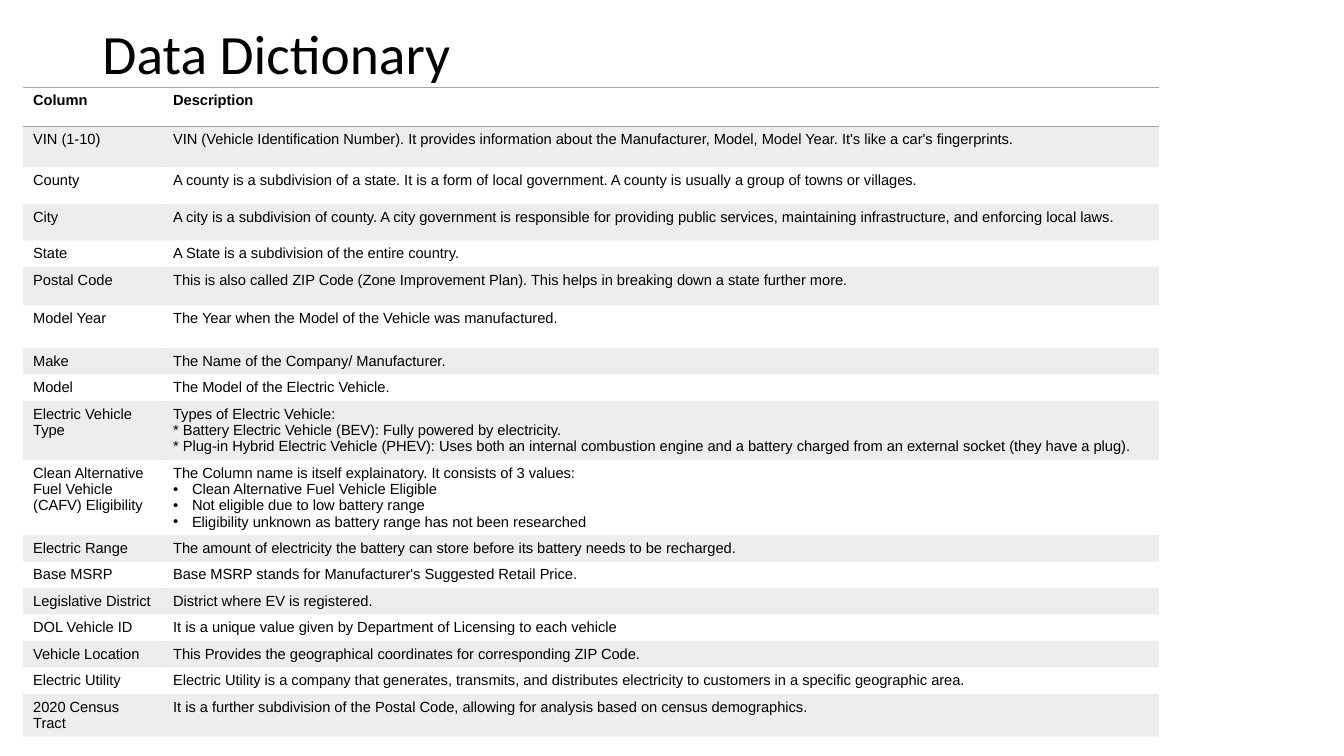
from lxml import etree
from pptx import Presentation
from pptx.dml.color import RGBColor
from pptx.enum.text import MSO_ANCHOR, PP_ALIGN
from pptx.oxml.ns import qn
from pptx.util import Pt

MIDDLE = MSO_ANCHOR.MIDDLE
LEFT = PP_ALIGN.LEFT
TITLE_ONLY = 5
PLAIN_TABLE_STYLE = "{2D5ABB26-0587-4C30-8999-92F81FD0307C}"
BULLET = "• "

# Row height in points, column name, description lines
HEADER = (27.5, "Column", ["Description"])
ENTRIES = [
    (29.3, "VIN (1-10)", [
        "VIN (Vehicle Identification Number). It provides information about the "
        "Manufacturer, Model, Model Year. It's like a car's fingerprints."]),
    (26.2, "County", [
        "A county is a subdivision of a state. It is a form of local government. "
        "A county is usually a group of towns or villages."]),
    (26.2, "City", [
        "A city is a subdivision of county. A city government is responsible for providing "
        "public services, maintaining infrastructure, and enforcing local laws."]),
    (18.9, "State", ["A State is a subdivision of the entire country."]),
    (27.5, "Postal Code", [
        "This is also called ZIP Code (Zone Improvement Plan). "
        "This helps in breaking down a state further more."]),
    (30.4, "Model Year", ["The Year when the Model of the Vehicle was manufactured."]),
    (18.9, "Make", ["The Name of the Company/ Manufacturer."]),
    (18.9, "Model", ["The Model of the Electric Vehicle."]),
    (42, "Electric Vehicle Type", [
        "Types of Electric Vehicle:",
        "* Battery Electric Vehicle (BEV): Fully powered by electricity.",
        "* Plug-in Hybrid Electric Vehicle (PHEV): Uses both an internal combustion engine "
        "and a battery charged from an external socket (they have a plug)."]),
    (53.7, "Clean Alternative Fuel Vehicle (CAFV) Eligibility", [
        "The Column name is itself explainatory. It consists of 3 values:",
        BULLET + "Clean Alternative Fuel Vehicle Eligible",
        BULLET + "Not eligible due to low battery range",
        BULLET + "Eligibility unknown as battery range has not been researched"]),
    (18.9, "Electric Range", [
        "The amount of electricity the battery can store before its battery "
        "needs to be recharged."]),
    (18.9, "Base MSRP", ["Base MSRP stands for Manufacturer's Suggested Retail Price."]),
    (18.9, "Legislative District", ["District where EV is registered."]),
    (18.9, "DOL Vehicle ID", [
        "It is a unique value given by Department of Licensing to each vehicle"]),
    (18.9, "Vehicle Location", [
        "This Provides the geographical coordinates for corresponding ZIP Code."]),
    (18.9, "Electric Utility", [
        "Electric Utility is a company that generates, transmits, and distributes "
        "electricity to customers in a specific geographic area."]),
    (30.4, "2020 Census Tract", [
        "It is a further subdivision of the Postal Code, allowing for analysis "
        "based on census demographics."]),
    (18.9, "", [""]),
]


def color(hex_string):
    return RGBColor.from_string(hex_string)


class DictionarySlide:
    ink, accent = "000000", "A5A5A5"
    title_font, body_font = "Calibri", "Arial"
    title_size, body_size = 39.6, 10.5

    def __init__(self, presentation):
        self.slide = presentation.slides.add_slide(presentation.slide_layouts[TITLE_ONLY])

    def style(self, paragraph, name, size, bold=False):
        paragraph.alignment = LEFT
        font = paragraph.font
        font.name, font.size, font.bold = name, Pt(size), bold
        font.color.rgb = color(self.ink)

    def title(self, text, left, top, width, height):
        heading = self.slide.shapes.title
        heading.left, heading.top = Pt(left), Pt(top)
        heading.width, heading.height = Pt(width), Pt(height)
        frame = heading.text_frame
        frame.text = text
        frame.vertical_anchor = MIDDLE
        frame.paragraphs[0].line_spacing = 0.9
        self.style(frame.paragraphs[0], self.title_font, self.title_size)

    def bullet(self, paragraph):
        props = paragraph._p.get_or_add_pPr()
        props.set("marL", str(Pt(13.5)))
        props.set("indent", str(-Pt(13.5)))
        etree.SubElement(props, qn("a:buFont"), typeface=self.body_font)
        etree.SubElement(props, qn("a:buChar"), char=BULLET.strip())

    def rule(self, cell, side):
        line = etree.SubElement(cell._tc.get_or_add_tcPr(), qn(side), w=str(Pt(1)))
        fill = etree.SubElement(line, qn("a:solidFill"))
        etree.SubElement(fill, qn("a:srgbClr"), val=self.accent)

    def shade(self, cell):
        cell.fill.solid()
        cell.fill.fore_color.rgb = color(self.accent)
        tint = cell._tc.tcPr.find(qn("a:solidFill")).find(qn("a:srgbClr"))
        etree.SubElement(tint, qn("a:alpha"), val="20000")

    def cell_text(self, cell, lines, bold):
        frame = cell.text_frame
        frame.text = "\n".join(line.removeprefix(BULLET) for line in lines)
        for paragraph, line in zip(frame.paragraphs, lines):
            if line.startswith(BULLET):
                self.bullet(paragraph)
            self.style(paragraph, self.body_font, self.body_size, bold)

    def table(self, rows, left, top, widths):
        height = sum(row[0] for row in rows)
        grid = self.slide.shapes.add_table(
            len(rows), len(widths), Pt(left), Pt(top), Pt(sum(widths)), Pt(height)).table
        grid._tbl.tblPr.find(qn("a:tableStyleId")).text = PLAIN_TABLE_STYLE
        for column, width in zip(grid.columns, widths):
            column.width = Pt(width)
        for index, (row_height, name, description) in enumerate(rows):
            grid.rows[index].height = Pt(row_height)
            for cell, lines in zip(grid.rows[index].cells, ([name], description)):
                self.cell_text(cell, lines, bold=index == 0)
                if index == 0:
                    self.rule(cell, "a:lnT")
                    self.rule(cell, "a:lnB")
                if index % 2:
                    self.shade(cell)
                else:
                    cell.fill.background()


def main():
    presentation = Presentation()
    presentation.slide_width, presentation.slide_height = Pt(960), Pt(540)
    page = DictionarySlide(presentation)
    # Heading
    page.title("Data Dictionary", 66, 15, 828, 50.5)
    # Column descriptions
    page.table([HEADER] + ENTRIES, 16.5, 62.6, (100, 711.4))
    presentation.save("out.pptx")


if __name__ == "__main__":
    main()
